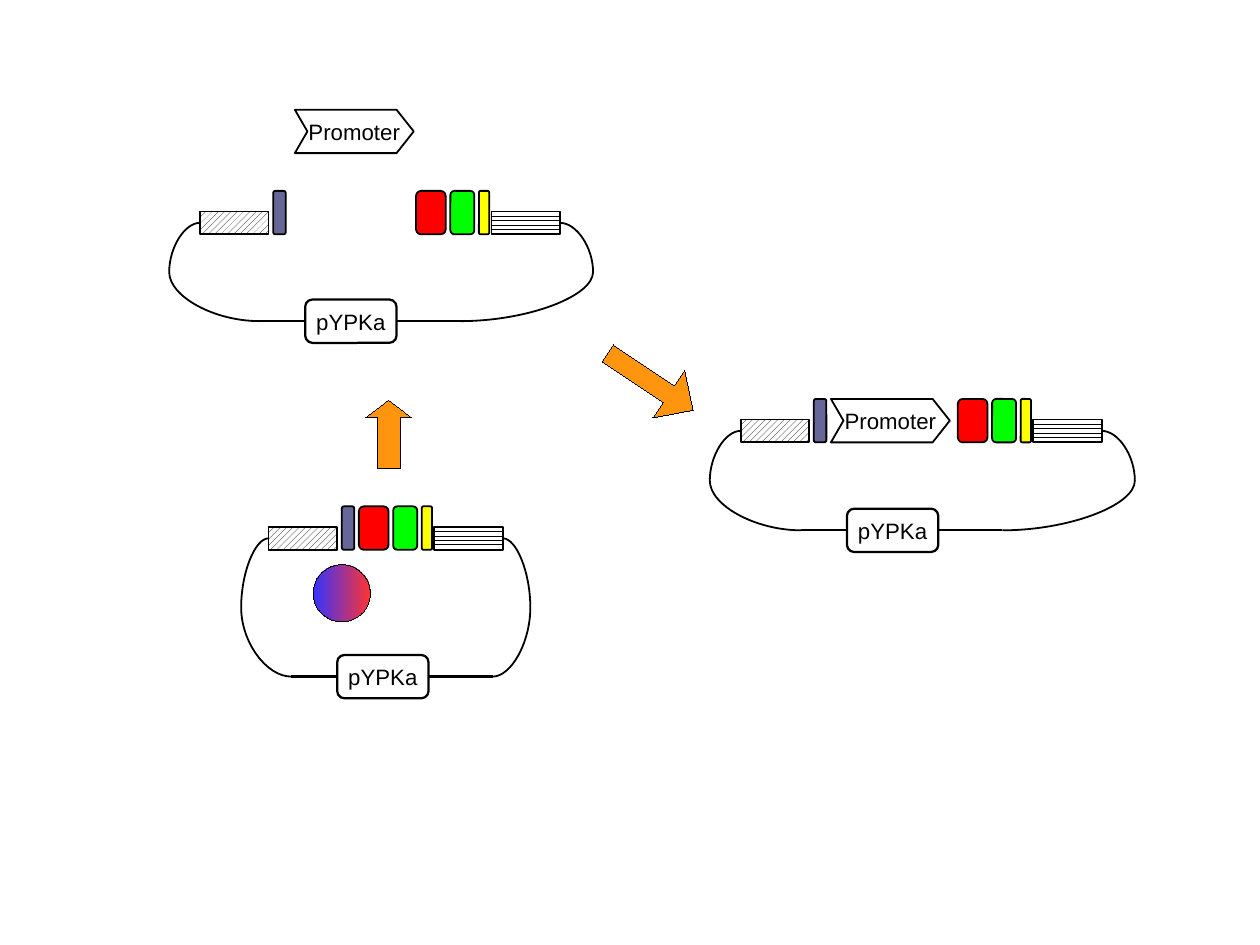
"""Build a slide showing a promoter being cloned into the pYPKa plasmid."""
from dataclasses import dataclass

from lxml.etree import SubElement
from pptx import Presentation
from pptx.dml.color import RGBColor
from pptx.enum.dml import MSO_PATTERN
from pptx.enum.shapes import MSO_CONNECTOR, MSO_SHAPE
from pptx.enum.text import MSO_ANCHOR, PP_ALIGN
from pptx.oxml.ns import qn
from pptx.util import Inches, Pt


@dataclass(frozen=True)
class Theme:
    black: RGBColor = RGBColor(0x00, 0x00, 0x00)
    white: RGBColor = RGBColor(0xFF, 0xFF, 0xFF)
    slate: RGBColor = RGBColor(0x66, 0x66, 0x99)
    red: RGBColor = RGBColor(0xFF, 0x00, 0x00)
    green: RGBColor = RGBColor(0x00, 0xFF, 0x00)
    yellow: RGBColor = RGBColor(0xFF, 0xFF, 0x00)
    orange: RGBColor = RGBColor(0xFF, 0x95, 0x0E)
    enzyme_blue: RGBColor = RGBColor(0x33, 0x33, 0xFF)
    enzyme_red: RGBColor = RGBColor(0xFF, 0x33, 0x33)
    font: str = "Arial"
    size: Pt = Pt(14)
    hairline: Pt = Pt(0.01)
    thin: Pt = Pt(1.13)
    thick: Pt = Pt(1.42)


theme = Theme()
cm_per_inch = 2.54
prs = Presentation()
prs.slide_width = Inches(28 / cm_per_inch)
prs.slide_height = Inches(21 / cm_per_inch)
s = prs.slides.add_slide(prs.slide_layouts[6])


def add_part(kind, x, y, w, h, fill=None, width=theme.thin):
    sp = s.shapes.add_shape(kind, Inches(x), Inches(y), Inches(w), Inches(h))
    sp.shadow.inherit = False
    sp.line.color.rgb = theme.black
    sp.line.width = width
    if fill is None:
        sp.fill.background()
    else:
        sp.fill.solid()
        sp.fill.fore_color.rgb = fill
    return sp


def add_strand(kind, x1, y1, x2, y2, width):
    strand = s.shapes.add_connector(kind, Inches(x1), Inches(y1), Inches(x2), Inches(y2))
    strand.line.color.rgb = theme.black
    strand.line.width = width
    SubElement(strand.element.spPr, qn("a:effectLst"))
    return strand


labels = []
gene_h = 0.38
box_w, box_h = 0.8, 0.38
plasmids = [
    (2.35, 4.43, 3.14, 2.95, 5.73, 0.24, 0.24),
    (6.48, 3.49, 8.38, 7.41, 4.45, 0.27, 0.29),
    (1.75, 1.67, 3.64, 2.67, 2.62, 0.27, 0.29),
]
for left, top, red_left, box_left, box_top, left_bulge, right_bulge in plasmids:
    genes = [
        (left + 0.64, 0.11, theme.slate),
        (red_left, 0.26, theme.red),
        (red_left + 0.3, 0.21, theme.green),
        (red_left + 0.55, 0.09, theme.yellow),
    ]
    for x, w, color in genes:
        gene = add_part(MSO_SHAPE.ROUNDED_RECTANGLE, x, top, w, gene_h, color)
        gene.adjustments[0] = 0.17

    flank_right = red_left + 0.66
    for x, pattern in [
        (left, MSO_PATTERN.WIDE_UPWARD_DIAGONAL),
        (flank_right, MSO_PATTERN.HORIZONTAL),
    ]:
        flank = add_part(MSO_SHAPE.RECTANGLE, x, top + 0.18, 0.6, 0.2)
        flank.fill.patterned()
        flank.fill.pattern = pattern
        flank.fill.fore_color.rgb = theme.black
        flank.fill.back_color.rgb = theme.white

    box = add_part(MSO_SHAPE.ROUNDED_RECTANGLE, box_left, box_top, box_w, box_h, width=theme.thick)
    box.adjustments[0] = 0.17
    labels.append((box, "pYPKa"))

    base = box_top + box_h / 2
    for start, end, box_side, site, bulge in [
        (left, box_left - 0.4, box_left, 1, left_bulge),
        (flank_right + 0.6, box_left + 1.36, box_left + box_w, 3, right_bulge),
    ]:
        curve = add_strand(MSO_CONNECTOR.CURVE, start, top + 0.28, end, base, theme.thin)
        guides = curve.element.spPr.find(qn("a:prstGeom")).find(qn("a:avLst"))
        bend = round(-100000 * bulge / abs(end - start))
        SubElement(guides, qn("a:gd"), name="adj1", fmla=f"val {bend}")
        backbone = add_strand(MSO_CONNECTOR.STRAIGHT, end, base, box_side, base, theme.thick)
        backbone.end_connect(box, site)

for x, y in [(7.27, 3.49), (2.58, 0.96)]:
    outline = [(0.89, 0), (1.04, 0.19), (0.89, 0.38), (0, 0.38), (0.11, 0.19)]
    builder = s.shapes.build_freeform(Inches(x), Inches(y))
    builder.add_line_segments([(Inches(x + dx), Inches(y + dy)) for dx, dy in outline])
    promoter = builder.convert_to_shape()
    promoter.shadow.inherit = False
    promoter.fill.background()
    promoter.line.color.rgb = theme.black
    promoter.line.width = theme.thin
    labels.append((promoter, "Promoter"))

for sp, text in labels:
    tf = sp.text_frame
    tf.word_wrap = False
    tf.vertical_anchor = MSO_ANCHOR.MIDDLE
    tf.margin_left = tf.margin_right = tf.margin_top = tf.margin_bottom = Inches(0.05)
    p = tf.paragraphs[0]
    p.text = text
    p.alignment = PP_ALIGN.CENTER
    p.font.name = theme.font
    p.font.size = theme.size
    p.font.color.rgb = theme.black

arrows = [
    (MSO_SHAPE.RIGHT_ARROW, 5.24, 3.09, 0.9, 0.5, 33.7, (0.35, 0.51)),
    (MSO_SHAPE.UP_ARROW, 3.2, 3.5, 0.4, 0.6, 0, (0.5, 0.38)),
]
for kind, x, y, w, h, angle, shape_values in arrows:
    arrow = add_part(kind, x, y, w, h, theme.orange, theme.hairline)
    arrow.rotation = angle
    for i, value in enumerate(shape_values):
        arrow.adjustments[i] = value

enzyme = add_part(MSO_SHAPE.OVAL, 2.74, 4.94, 0.5, 0.5, width=theme.hairline)
enzyme.fill.gradient()
enzyme.fill.gradient_angle = 0
for stop, color in zip(enzyme.fill.gradient_stops, (theme.enzyme_blue, theme.enzyme_red)):
    stop.color.rgb = color

prs.save("out.pptx")
